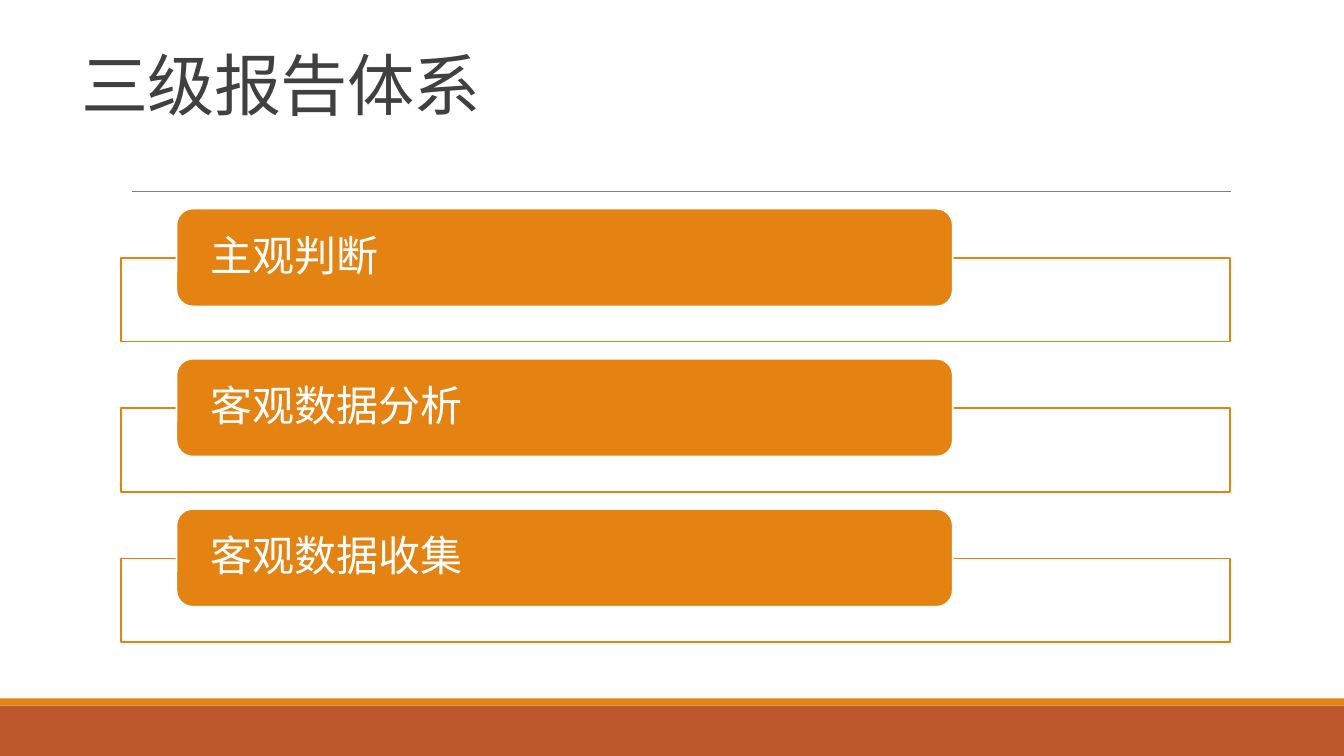
from dataclasses import dataclass
from typing import Optional

from lxml.etree import SubElement
from pptx import Presentation
from pptx.dml.color import RGBColor
from pptx.enum.shapes import MSO_CONNECTOR, MSO_SHAPE
from pptx.enum.text import MSO_ANCHOR, PP_ALIGN
from pptx.oxml.ns import qn
from pptx.shapes.autoshape import Shape
from pptx.slide import Slide
from pptx.util import Inches, Pt

WHITE = RGBColor(0xFF, 0xFF, 0xFF)
ORANGE = RGBColor(0xE4, 0x83, 0x12)
RUST = RGBColor(0xBD, 0x58, 0x2C)
GRAY = RGBColor(0x80, 0x80, 0x80)
DARK = RGBColor(0x40, 0x40, 0x40)

WIDTH, HEIGHT = 13.33, 7.5
LEVELS = ("主观判断", "客观数据分析", "客观数据收集")
LEVEL_TOP, LEVEL_PITCH, FRAME_DROP = 2.07, 1.49, 0.49


@dataclass(frozen=True)
class Box:
    left: float
    top: float
    width: float
    height: float
    fill: RGBColor
    line: Optional[RGBColor] = None
    kind: MSO_SHAPE = MSO_SHAPE.RECTANGLE


@dataclass(frozen=True)
class TextStyle:
    size: int
    color: RGBColor
    anchor: MSO_ANCHOR
    line_spacing: float
    inset_x: float
    inset_y: float


TITLE_STYLE = TextStyle(48, DARK, MSO_ANCHOR.BOTTOM, 0.85, 0.1, 0.05)
LEVEL_STYLE = TextStyle(30, WHITE, MSO_ANCHOR.MIDDLE, 0.9, 0.29, 0)


def set_attrs(target: object, values: dict) -> None:
    for name, value in values.items():
        setattr(target, name, value)


def add_box(s: Slide, box: Box) -> Shape:
    sp = s.shapes.add_shape(box.kind, Inches(box.left), Inches(box.top),
                            Inches(box.width), Inches(box.height))
    sp.shadow.inherit = False
    sp.fill.solid()
    sp.fill.fore_color.rgb = box.fill
    if box.line is None:
        sp.line.fill.background()
    else:
        sp.line.color.rgb = box.line
        sp.line.width = Pt(1.25)
    return sp


def write_text(sp: Shape, text: str, style: TextStyle, tracking: int = 0) -> None:
    tf = sp.text_frame
    set_attrs(tf, {
        "word_wrap": True,
        "vertical_anchor": style.anchor,
        "margin_left": Inches(style.inset_x),
        "margin_right": Inches(style.inset_x),
        "margin_top": Inches(style.inset_y),
        "margin_bottom": Inches(style.inset_y),
    })
    p = tf.paragraphs[0]
    set_attrs(p, {"alignment": PP_ALIGN.LEFT, "line_spacing": style.line_spacing})
    r = p.add_run()
    r.text = text
    set_attrs(r.font, {"name": "Calibri", "size": Pt(style.size)})
    r.font.color.rgb = style.color
    if tracking:
        r._r.get_or_add_rPr().set("spc", str(tracking))


def add_rule(s: Slide, left: float, right: float, y: float) -> None:
    rule = s.shapes.add_connector(MSO_CONNECTOR.STRAIGHT, Inches(left), Inches(y),
                                  Inches(right), Inches(y))
    rule.line.color.rgb = GRAY
    rule.line.width = Pt(0.5)
    SubElement(rule._element.spPr, qn("a:effectLst"))


def add_level(s: Slide, text: str, top: float) -> None:
    add_box(s, Box(1.2, top + FRAME_DROP, 11, 0.83, WHITE, ORANGE))
    label = add_box(s, Box(1.75, top, 7.7, 0.97, ORANGE, WHITE,
                           MSO_SHAPE.ROUNDED_RECTANGLE))
    write_text(label, text, LEVEL_STYLE)


def main() -> None:
    prs = Presentation()
    set_attrs(prs, {"slide_width": Inches(WIDTH), "slide_height": Inches(HEIGHT)})
    s = prs.slides.add_slide(prs.slide_layouts[6])
    add_box(s, Box(0, 7, WIDTH, 0.5, RUST))
    add_box(s, Box(0, 6.93, WIDTH, 0.07, ORANGE))
    add_rule(s, 1.31, 12.21, 1.9)
    title = s.shapes.add_textbox(Inches(0.71), Inches(0.5), Inches(10.29), Inches(0.78))
    write_text(title, "三级报告体系", TITLE_STYLE, tracking=-50)
    for i, text in enumerate(LEVELS):
        add_level(s, text, LEVEL_TOP + i * LEVEL_PITCH)
    prs.save("out.pptx")


if __name__ == "__main__":
    main()
